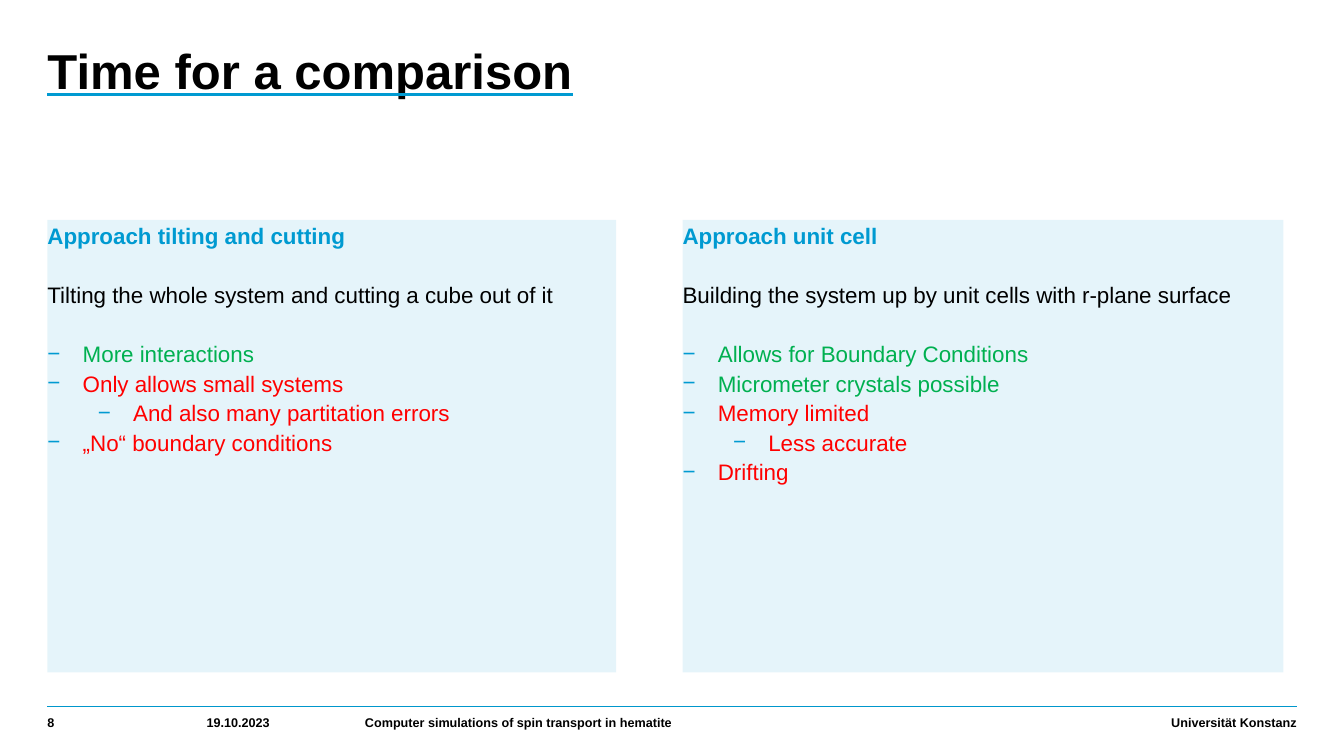
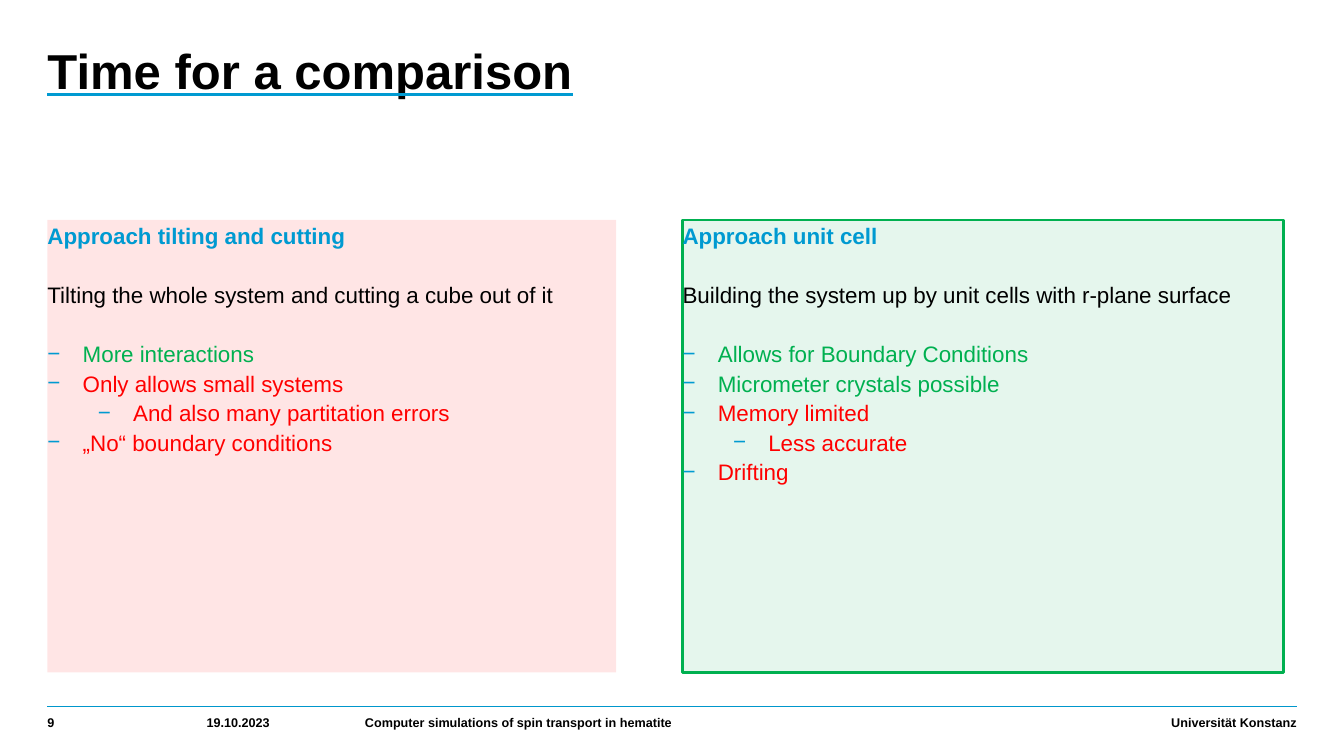
from lxml import etree
from pptx import Presentation
from pptx.dml.color import RGBColor
from pptx.enum.shapes import MSO_CONNECTOR, MSO_SHAPE
from pptx.enum.text import MSO_ANCHOR, PP_ALIGN
from pptx.oxml.ns import qn
from pptx.util import Inches, Pt

RECT = MSO_SHAPE.RECTANGLE
LINE = MSO_CONNECTOR.STRAIGHT
TOP, LOW = MSO_ANCHOR.TOP, MSO_ANCHOR.BOTTOM
LEFT, RIGHT = PP_ALIGN.LEFT, PP_ALIGN.RIGHT

BLACK = RGBColor(0x00, 0x00, 0x00)
BLUE = RGBColor(0x00, 0x9A, 0xD1)
RULE = RGBColor(0x00, 0x97, 0xCC)
GREEN = RGBColor(0x00, 0xB0, 0x50)
RED = RGBColor(0xFF, 0x00, 0x00)

FONT = "Arial"
GAP = Pt(21)  # one body line

deck = Presentation()
deck.slide_width, deck.slide_height = Inches(13.33), Inches(7.5)
WIDE, HIGH = deck.slide_width / 100, deck.slide_height / 100

# Places in percent of the slide's width and height
EDGE = 3.53
END = 100 - EDGE
BODY_TOP, BODY_HIGH = 29.07, 59.87
FOOT_RULE, FOOT_TOP, FOOT_HIGH = 93.47, 94.13, 3.2

# Panels: left, width, heading, summary, points as (level, colour, text)
PANELS = [
    (EDGE, 42.31, "Approach tilting and cutting",
     "Tilting the whole system and cutting a cube out of it",
     [(0, GREEN, "More interactions"),
      (0, RED, "Only allows small systems"),
      (1, RED, "And also many partitation errors"),
      (0, RED, "„No“ boundary conditions")]),
    (50.79, 44.71, "Approach unit cell",
     "Building the system up by unit cells with r-plane surface",
     [(0, GREEN, "Allows for Boundary Conditions"),
      (0, GREEN, "Micrometer crystals possible"),
      (0, RED, "Memory limited"),
      (1, RED, "Less accurate"),
      (0, RED, "Drifting")]),
]

# Slides: number, then fill and outline of each panel
SLIDES = [
    ("8", [(BLUE, None), (BLUE, None)]),
    ("9", [(RED, None), (GREEN, GREEN)]),
]


def setup(shape, anchor=TOP, base=0):
    frame = shape.text_frame
    frame.word_wrap = True
    frame.vertical_anchor = anchor
    frame.margin_left = frame.margin_right = frame.margin_top = 0
    frame.margin_bottom = Inches(base)
    return frame


def write(para, text, size, color, bold=False, space=1.0, align=LEFT):
    para.alignment = align
    para.line_spacing = space
    run = para.add_run()
    run.text = text
    font = run.font
    font.size, font.bold, font.name = Pt(size), bold, FONT
    font.color.rgb = color
    return run


for number, looks in SLIDES:
    slide = deck.slides.add_slide(deck.slide_layouts[6])
    shapes = slide.shapes

    # Title with a blue underline
    box = shapes.add_textbox(*map(int, (EDGE * WIDE, 5.87 * HIGH,
                                        69.32 * WIDE, 17.87 * HIGH)))
    run = write(setup(box).paragraphs[0], "Time for a comparison",
                35, BLACK, True, 0.95)
    run.font.underline = True
    under = etree.Element(qn("a:uFill"))
    solid = etree.SubElement(under, qn("a:solidFill"))
    etree.SubElement(solid, qn("a:srgbClr"), val=str(BLUE))
    run.font._element.find(qn("a:latin")).addprevious(under)

    # Two tinted panels
    for (left, width, head, brief, points), (tint, edge) in zip(PANELS, looks):
        panel = shapes.add_shape(RECT, *map(int, (
            left * WIDE, BODY_TOP * HIGH, width * WIDE, BODY_HIGH * HIGH)))
        panel.shadow.inherit = False
        panel.fill.solid()
        panel.fill.fore_color.rgb = tint
        color = panel._element.spPr.find(qn("a:solidFill"))[0]
        etree.SubElement(color, qn("a:alpha"), val="10000")
        if edge is None:
            panel.line.fill.background()
        else:
            panel.line.color.rgb = edge
            panel.line.width = Pt(1.75)

        frame = setup(panel)
        para = frame.paragraphs[0]
        write(para, head, 16, BLUE, True, 1.1)
        para.space_after = GAP
        para = frame.add_paragraph()
        write(para, brief, 16, BLACK, space=1.1)
        para.space_after = GAP

        # Dashed points, sub-points half an inch further in
        for level, color, text in points:
            para = frame.add_paragraph()
            para.level = level
            write(para, text, 16, color, space=1.1)
            props = para._p.get_or_add_pPr()
            props.set("marL", str(Inches(0.35 + 0.5 * level)))
            props.set("indent", str(Inches(-0.35)))
            mark = etree.SubElement(props, qn("a:buClr"))
            etree.SubElement(mark, qn("a:srgbClr"), val=str(BLUE))
            etree.SubElement(props, qn("a:buFont"), typeface=FONT)
            etree.SubElement(props, qn("a:buChar"), char="−")

    # Footer rule and texts
    rule = shapes.add_connector(LINE, *map(int, (
        EDGE * WIDE, FOOT_RULE * HIGH, END * WIDE, FOOT_RULE * HIGH)))
    rule.line.color.rgb = RULE
    rule.line.width = Pt(1)
    etree.SubElement(rule._element.spPr, qn("a:effectLst"))

    for left, width, text, align in [
        (EDGE, 10.2, number, LEFT),
        (15.38, 10.28, "19.10.2023", LEFT),
        (27.16, 35, "Computer simulations of spin transport in hematite", LEFT),
        (62.64, END - 62.64, "Universität Konstanz", RIGHT),
    ]:
        box = shapes.add_textbox(*map(int, (
            left * WIDE, FOOT_TOP * HIGH, width * WIDE, FOOT_HIGH * HIGH)))
        write(setup(box, LOW, 0.06).paragraphs[0], text, 9, BLACK, True,
              align=align)

deck.save("out.pptx")
